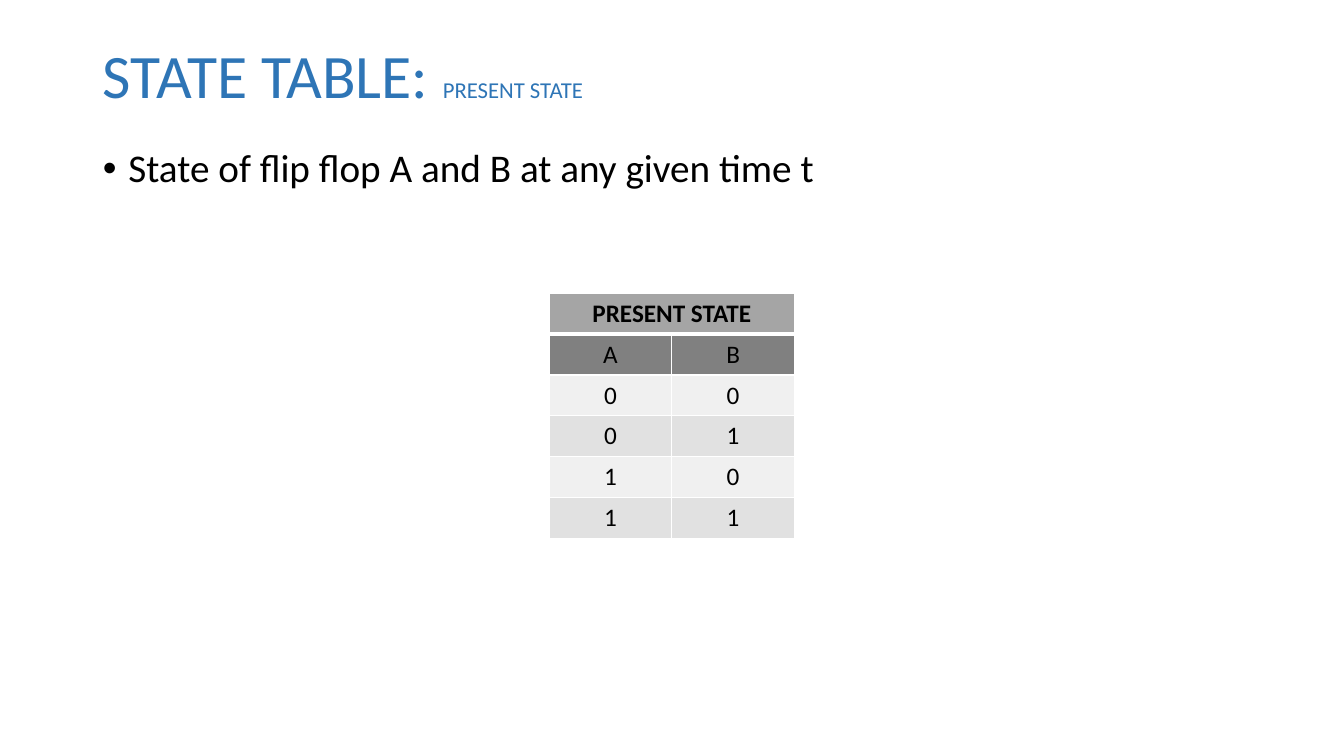
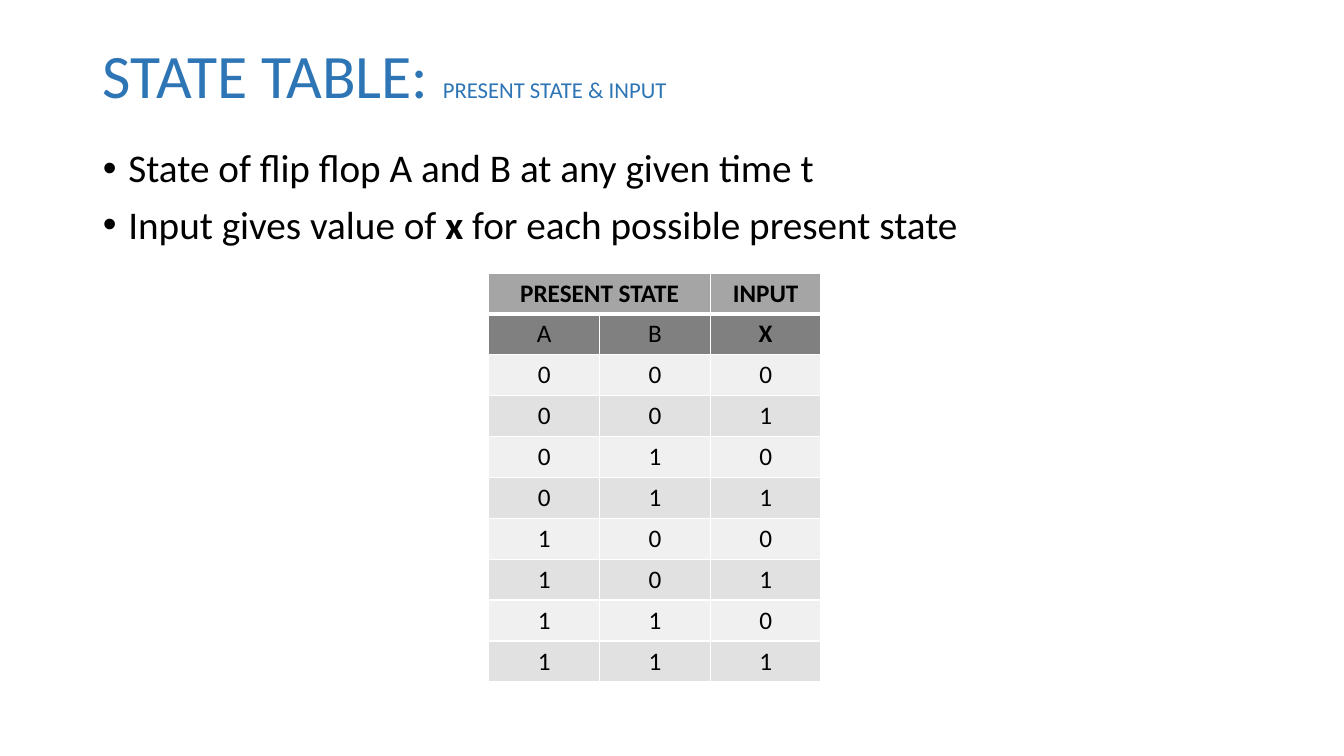
from itertools import product

from lxml import etree
from pptx import Presentation
from pptx import util as u
from pptx.dml.color import RGBColor
from pptx.enum import text
from pptx.oxml import ns

BLUE = RGBColor(0x2E, 0x75, 0xB6)
BLACK = RGBColor(0, 0, 0)
HEAD = RGBColor(0xA5, 0xA5, 0xA5)
NAMES = RGBColor(0x80, 0x80, 0x80)
BANDS = RGBColor(0xF0, 0xF0, 0xF0), RGBColor(0xE1, 0xE1, 0xE1)
FONT = "Calibri"
LEFT, WIDTH = 2.34, 29.21
ROW = 1.03


class Deck:
    """Holds the presentation, its style and the current slide."""

    def __init__(self):
        self.prs = Presentation()
        self.prs.slide_width = u.Cm(33.87)
        self.prs.slide_height = u.Cm(19.05)

    def style(self, run, size, color, bold=False):
        font = run.font
        font.name, font.size, font.bold = FONT, u.Pt(size), bold
        font.color.rgb = color

    def place(self, shape, top, height):
        shape.left, shape.top = u.Cm(LEFT), u.Cm(top)
        shape.width, shape.height = u.Cm(WIDTH), u.Cm(height)
        frame = shape.text_frame
        frame.word_wrap = True
        frame.auto_size = text.MSO_AUTO_SIZE.NONE
        frame.vertical_anchor = text.MSO_ANCHOR.TOP
        return frame

    def phrase(self, para, parts):
        para.line_spacing = 0.9
        para.alignment = text.PP_ALIGN.LEFT
        for words, size, color, bold in parts:
            run = para.add_run()
            run.text = words
            self.style(run, size, color, bold)

    def slide(self, topic):
        self.page = self.prs.slides.add_slide(self.prs.slide_layouts[1])
        frame = self.place(self.page.shapes.title, 1.02, 2.62)
        self.phrase(frame.paragraphs[0], [
            ("STATE TABLE: ", 44.1, BLUE, False),
            (topic, 16.2, BLUE, False)])

    def bullets(self, items):
        frame = self.place(self.page.placeholders[1], 3.63, 13.51)
        for i, item in enumerate(items):
            para = frame.add_paragraph() if i else frame.paragraphs[0]
            props = para._p.get_or_add_pPr()
            props.set("marL", str(u.Cm(0.64)))
            props.set("indent", str(u.Cm(-0.64)))
            para.space_before = u.Pt(10 if i else 0)
            self.phrase(para, [(words, 28, BLACK, bold) for words, bold in item])

    def border(self, cell, row):
        props = cell._tc.get_or_add_tcPr()
        wide = {"T": 3 if row == 1 else 1, "B": 3 if row == 0 else 1}
        for side in "LRTB":
            line = etree.SubElement(props, ns.qn(f"a:ln{side}"),
                                    w=str(u.Pt(wide.get(side, 1))))
            fill = etree.SubElement(line, ns.qn("a:solidFill"))
            etree.SubElement(fill, ns.qn("a:srgbClr"), val="FFFFFF")

    def cell(self, cell, row, words, color, bold):
        self.border(cell, row)
        cell.fill.solid()
        cell.fill.fore_color.rgb = color
        cell.vertical_anchor = text.MSO_ANCHOR.MIDDLE
        cell.text_frame.text = words
        para = cell.text_frame.paragraphs[0]
        para.alignment = text.PP_ALIGN.CENTER
        for run in para.runs:
            self.style(run, 18, BLACK, bold)

    def table(self, left, top, col, heads, names):
        count = len(names)
        rows = [heads, names, *product("01", repeat=count)]
        frame = self.page.shapes.add_table(
            len(rows), count, u.Cm(left), u.Cm(top),
            u.Cm(col * count), u.Cm(ROW * len(rows)))
        grid = frame.table
        grid.horz_banding = False
        for column in grid.columns:
            column.width = u.Cm(col)
        for r, row in enumerate(rows):
            grid.rows[r].height = u.Cm(ROW)
            color = (HEAD, NAMES)[r] if r < 2 else BANDS[r % 2]
            for c, words in enumerate(row):
                bold = r == 0 or words == "X"
                self.cell(grid.cell(r, c), r, words, color, bold)
        grid.cell(0, 0).merge(grid.cell(0, 1))


def main():
    deck = Deck()
    state = [("State of flip flop A and B at any given time t", False)]
    given = [("Input gives value of ", False), ("x", True),
             (" for each possible present state", False)]

    deck.slide("PRESENT STATE")
    deck.bullets([state])
    deck.table(13.84, 7.39, 3.09, ["PRESENT STATE", ""], ["A", "B"])

    deck.slide("PRESENT STATE & INPUT")
    deck.bullets([state, given])
    deck.table(12.32, 6.88, 2.79, ["PRESENT STATE", "", "INPUT"],
               ["A", "B", "X"])

    deck.prs.save("out.pptx")


if __name__ == "__main__":
    main()
